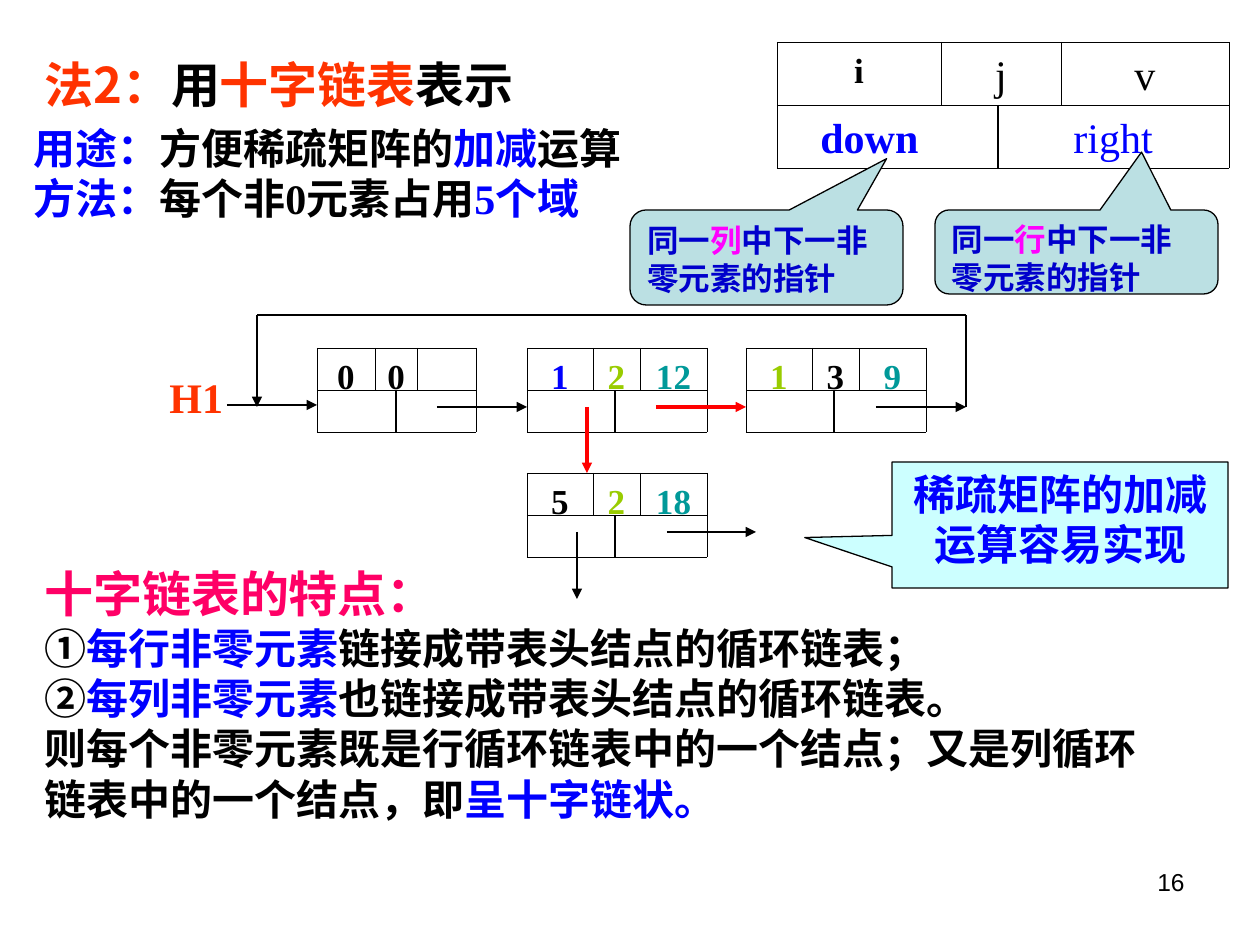
from dataclasses import dataclass
from typing import NamedTuple

from lxml import etree
from pptx import Presentation
from pptx.dml.color import RGBColor
from pptx.enum.shapes import MSO_CONNECTOR, MSO_SHAPE
from pptx.enum.text import MSO_ANCHOR, MSO_AUTO_SIZE, PP_ALIGN
from pptx.oxml.ns import qn
from pptx.util import Emu, Pt

STRAIGHT = MSO_CONNECTOR.STRAIGHT
ROUND_CALLOUT = MSO_SHAPE.ROUNDED_RECTANGULAR_CALLOUT
RECT_CALLOUT = MSO_SHAPE.RECTANGULAR_CALLOUT
LEFT, CENTER, RIGHT = PP_ALIGN.LEFT, PP_ALIGN.CENTER, PP_ALIGN.RIGHT
TOP, MIDDLE = MSO_ANCHOR.TOP, MSO_ANCHOR.MIDDLE
FIT_SHAPE = MSO_AUTO_SIZE.SHAPE_TO_FIT_TEXT

EMU_PER_INCH = 914400
PX_PER_INCH = 126
SERIF, SANS, CJK = "Times New Roman", "Arial", "Noto Sans CJK SC"
BLACK, BLUE, NAVY, RED = "000000", "0000FF", "0000CC", "FF0000"
ORANGE, MAGENTA, PINK = "FF3300", "FF00FF", "FF0066"
GREEN, TEAL = "99CC00", "009999"
PALE_BLUE, PALE_CYAN = "BBE0E3", "CCFFFF"


class Run(NamedTuple):
    text: str
    color: str = BLACK


class Cell(NamedTuple):
    text: str
    color: str
    width: int
    size: int = 20
    bold: bool = True


class Arrow(NamedTuple):
    start: tuple[int, int]
    end: tuple[int, int]
    color: str = BLACK
    weight: float = 0.75


@dataclass
class Node:
    """Fields i, j, v above; the down and right pointers below."""
    left: int
    top: int
    row_height: int
    split: int
    cells: list[Cell]


@dataclass
class Callout:
    kind: int
    box: tuple[int, int, int, int]
    adjustments: list[float]
    fill: str
    runs: list[Run]
    size: int = 18
    align: int = LEFT


def px(length: int) -> Emu:
    return Emu(round(length * EMU_PER_INCH / PX_PER_INCH))


def rgb(color: str) -> RGBColor:
    return RGBColor.from_string(color)


def write(frame, paragraphs: list[list[Run]], *, sizes=(24,), font=SERIF, bold=True,
          align=LEFT, anchor=TOP, wrap=True, indent=0) -> None:
    """Write runs by paragraph; the last size holds for all further paragraphs."""
    frame.word_wrap = wrap
    if not wrap:
        frame.auto_size = FIT_SHAPE
    frame.vertical_anchor = anchor
    frame.margin_left = frame.margin_right = Emu(91440)
    frame.margin_top = frame.margin_bottom = Emu(45720)
    for number, runs in enumerate(paragraphs):
        paragraph = frame.add_paragraph() if number else frame.paragraphs[0]
        paragraph.alignment = align
        if indent:
            paragraph._p.get_or_add_pPr().set("marL", str(px(indent)))
        for text, color in runs:
            run = paragraph.add_run()
            run.text = text
            run.font.size = Pt(sizes[min(number, len(sizes) - 1)])
            run.font.bold = bold
            run.font.name = font
            run.font.color.rgb = rgb(color)
            etree.SubElement(run._r.rPr, qn("a:ea"), typeface=CJK)


def add_text(slide, box: tuple[int, int, int, int], paragraphs: list[list[Run]],
             **style) -> None:
    write(slide.shapes.add_textbox(*map(px, box)).text_frame, paragraphs, **style)


def add_line(slide, start: tuple[int, int], end: tuple[int, int], color: str = BLACK,
             weight: float = 0.25, arrow: bool = False) -> None:
    line = slide.shapes.add_connector(STRAIGHT, *map(px, (*start, *end)))
    line.line.color.rgb = rgb(color)
    line.line.width = Pt(weight)
    if arrow:
        etree.SubElement(line.line._get_or_add_ln(), qn("a:tailEnd"), type="triangle")
    etree.SubElement(line._element.spPr, qn("a:effectLst"))


def add_node(slide, node: Node) -> None:
    x, top = node.left, node.top
    middle, bottom = top + node.row_height, top + 2 * node.row_height
    dividers = [x]
    for cell in node.cells:
        if cell.text:
            add_text(slide, (x, top, cell.width, node.row_height),
                     [[Run(cell.text, cell.color)]], sizes=(cell.size,),
                     bold=cell.bold, align=CENTER)
        x += cell.width
        dividers.append(x)
    for y in (top, middle, bottom):
        add_line(slide, (node.left, y), (x, y))
    for divider in dividers:
        outer = divider in (node.left, x)
        add_line(slide, (divider, top), (divider, bottom if outer else middle))
    split = node.left + node.split
    add_line(slide, (split, middle), (split, bottom), weight=0.75)


def add_callout(slide, callout: Callout) -> None:
    bubble = slide.shapes.add_shape(callout.kind, *map(px, callout.box))
    bubble.shadow.inherit = False
    for index, value in enumerate(callout.adjustments):
        bubble.adjustments[index] = value
    bubble.fill.solid()
    bubble.fill.fore_color.rgb = rgb(callout.fill)
    bubble.line.color.rgb = rgb(BLACK)
    bubble.line.width = Pt(0.75)
    write(bubble.text_frame, [callout.runs], sizes=(callout.size,), align=callout.align)


def element(left: int, top: int, *fields: tuple[str, str]) -> Node:
    """A node for one non-zero matrix element."""
    cells = [Cell(*field, width) for field, width in zip(fields, (66, 47, 67))]
    return Node(left, top, 42, 88, cells)


def pointer_callout(box: tuple[int, int, int, int], tip: tuple[float, float],
                    direction: str) -> Callout:
    return Callout(ROUND_CALLOUT, box, [*tip, 0.17], PALE_BLUE,
                   [Run("同一", NAVY), Run(direction, MAGENTA),
                    Run("中下一非零元素的指针", NAVY)])


NODES = [
    Node(777, 42, 63, 221, [Cell("i", BLACK, 164), Cell("j", BLACK, 120, 24, False),
                            Cell("v", BLACK, 168, 24, False)]),
    Node(317, 348, 42, 79, [Cell("0", BLACK, 58), Cell("0", BLACK, 42),
                            Cell("", BLACK, 59)]),
    element(527, 348, ("1", BLUE), ("2", GREEN), ("12", TEAL)),
    element(746, 348, ("1", GREEN), ("3", BLACK), ("9", TEAL)),
    element(527, 473, ("5", BLACK), ("2", GREEN), ("18", TEAL)),
]
ARROWS = [
    Arrow((227, 405), (317, 405)),
    Arrow((437, 407), (527, 407)),
    Arrow((656, 407), (746, 407), RED, 1.75),
    Arrow((876, 407), (966, 407)),
    Arrow((257, 315), (257, 407)),
    Arrow((587, 407), (587, 473), RED, 1.75),
    Arrow((577, 532), (577, 599)),
    Arrow((667, 532), (756, 532)),
]
CALLOUTS = [
    pointer_callout((630, 210, 273, 95), (0.44, -1.04), "列"),
    pointer_callout((935, 210, 283, 84), (0.23, -1.19), "行"),
    Callout(RECT_CALLOUT, (892, 462, 336, 126), [-0.76, 0.1], PALE_CYAN,
            [Run("稀疏矩阵的加减运算容易实现", BLUE)], 24, CENTER),
]
PURPOSE = [
    [Run("用途：", BLUE), Run("方便稀疏矩阵的"), Run("加减", BLUE), Run("运算")],
    [Run("方法：", BLUE), Run("每个非0元素占用"), Run("5个域", BLUE)],
]
FEATURES = [
    [Run("十字链表的特点：", PINK)],
    [Run("①"), Run("每行非零元素", BLUE), Run("链接成带表头结点的循环链表；")],
    [Run("②"), Run("每列非零元素", BLUE), Run("也链接成带表头结点的循环链表。")],
    [Run("则每个非零元素既是行循环链表中的一个结点；又是列循环链表中的一个结点，即"),
     Run("呈十字链状。", BLUE)],
]


def main() -> None:
    deck = Presentation()
    deck.slide_width, deck.slide_height = px(1260), px(945)
    slide = deck.slides.add_slide(deck.slide_layouts[6])

    # Title, purpose and page number
    add_text(slide, (32, 42, 567, 84),
             [[Run("法2：", ORANGE), Run("用"), Run("十字链表", ORANGE), Run("表示")]],
             sizes=(28,), font=CJK, anchor=MIDDLE)
    add_text(slide, (21, 116, 662, 113), PURPOSE)
    add_text(slide, (903, 861, 294, 66), [[Run("16")]], sizes=(14,), font=SANS,
             bold=False, align=RIGHT)

    # Nodes, with the pointer names of the sample node
    for node in NODES:
        add_node(slide, node)
    add_text(slide, (777, 105, 284, 63), [[Run("down", BLUE)]], indent=31)
    add_text(slide, (1061, 105, 168, 63), [[Run("right", BLUE)]], bold=False)

    # Head pointer, links and the way back to the header
    add_text(slide, (157, 365, 80, 63), [[Run("H1", ORANGE)]], wrap=False)
    add_line(slide, (966, 407), (966, 315), weight=0.75)
    add_line(slide, (966, 315), (257, 315), weight=0.75)
    for arrow in ARROWS:
        add_line(slide, *arrow, arrow=True)

    # Features and callouts
    add_text(slide, (32, 557, 1134, 273), FEATURES, sizes=(28, 24))
    for callout in CALLOUTS:
        add_callout(slide, callout)

    deck.save("out.pptx")


if __name__ == "__main__":
    main()
